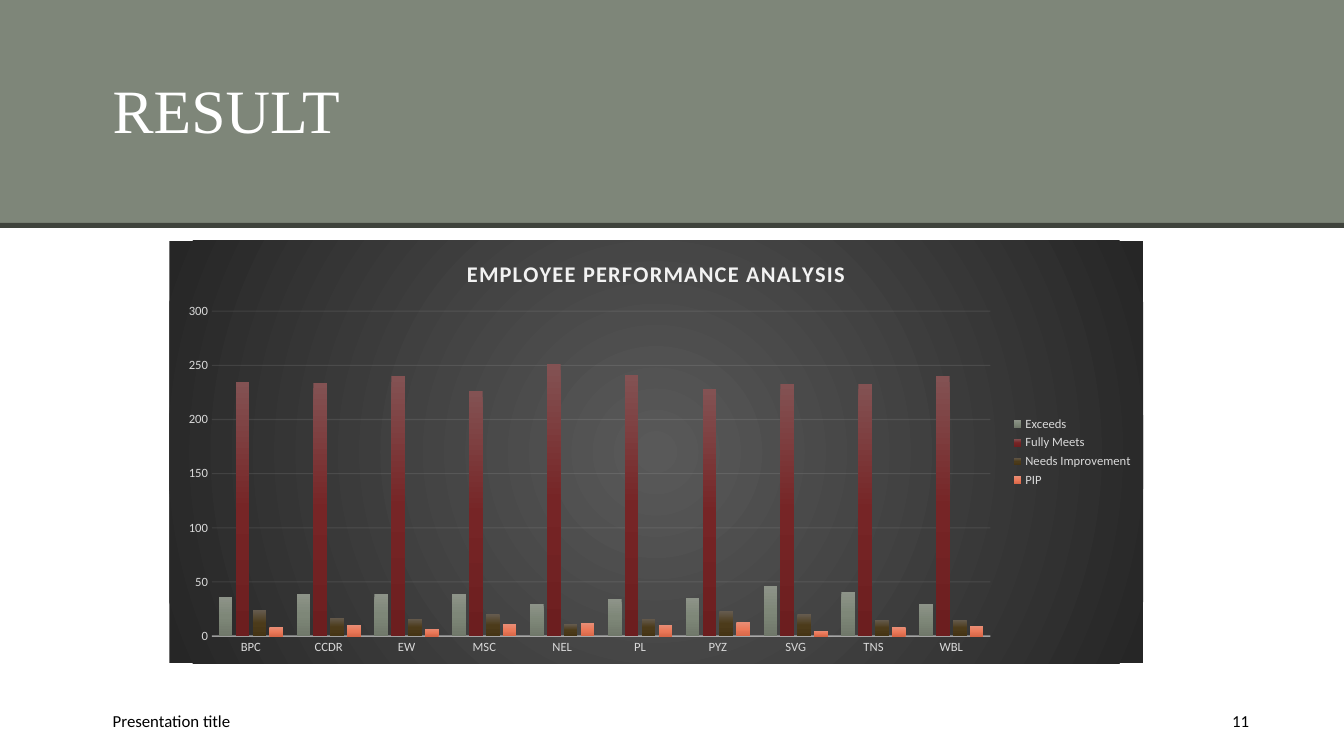
"""Build the employee performance result slide."""
from dataclasses import dataclass

from lxml import etree
from pptx import Presentation
from pptx.chart.data import CategoryChartData
from pptx.dml.color import RGBColor
from pptx.enum.chart import XL_CHART_TYPE, XL_LEGEND_POSITION, XL_TICK_MARK
from pptx.enum.shapes import MSO_SHAPE
from pptx.enum.text import MSO_ANCHOR, PP_ALIGN
from pptx.oxml import parse_xml
from pptx.oxml.ns import qn
from pptx.util import Inches, Pt

RECTANGLE = MSO_SHAPE.RECTANGLE
CLUSTERED = XL_CHART_TYPE.COLUMN_CLUSTERED
LEGEND_RIGHT = XL_LEGEND_POSITION.RIGHT
NO_TICK = XL_TICK_MARK.NONE
MIDDLE = MSO_ANCHOR.MIDDLE
LEFT, RIGHT = PP_ALIGN.LEFT, PP_ALIGN.RIGHT

WIDTH, HEIGHT = Inches(13.33), Inches(7.5)
BODY_FONT, TITLE_FONT = "Calibri", "Times New Roman"
COLORS = {
    "band": "7E8679", "rule": "3F433C", "white": "FFFFFF", "black": "000000",
    "chart_center": "595959", "chart_edge": "262626",
    "chart_text": "D9D9D9", "chart_light": "F2F2F2",
}
DRAWING_NS = "http://schemas.openxmlformats.org/drawingml/2006/main"
DOWNWARD = '<a:lin ang="5400000" scaled="0"/>'
FROM_CENTER = ('<a:path path="circle"><a:fillToRect l="50000" t="50000" '
               'r="50000" b="50000"/></a:path>')


@dataclass(frozen=True)
class Area:
    """Place on the slide, in percent of its width and height."""
    left: float
    top: float
    width: float
    height: float

    def box(self) -> tuple[int, int, int, int]:
        """Return the place in slide units."""
        return (int(WIDTH * self.left / 100), int(HEIGHT * self.top / 100),
                int(WIDTH * self.width / 100), int(HEIGHT * self.height / 100))


@dataclass(frozen=True)
class Band:
    """Full-width strip of the header."""
    area: Area
    color: str


@dataclass(frozen=True)
class Label:
    """Single line of text."""
    text: str
    area: Area
    size: float
    font: str
    color: str
    align: PP_ALIGN = LEFT
    spacing: float = 1.0


@dataclass(frozen=True)
class Rating:
    """Head count per business unit for one rating."""
    name: str
    counts: tuple[int, ...]
    shades: tuple[str, str, str]


BANDS = (
    Band(Area(0, 0, 100, 29.87), "band"),
    Band(Area(0, 29.47, 100, 0.67), "rule"),
)
LABELS = (
    Label("RESULT", Area(7.65, 3.33, 78.15, 23.33), 44, TITLE_FONT, "white", spacing=0.9),
    Label("Presentation title", Area(7.65, 92.67, 33.75, 5.33), 12, BODY_FONT, "black"),
    Label("11", Area(87.23, 92.67, 6.45, 5.33), 12, BODY_FONT, "black", RIGHT),
)
CHART_AREA = Area(12.6, 31.87, 72.45, 55.87)
UNITS = ("BPC", "CCDR", "EW", "MSC", "NEL", "PL", "PYZ", "SVG", "TNS", "WBL")
RATINGS = (
    Rating("Exceeds", (36, 39, 39, 39, 30, 34, 35, 46, 41, 30),
           ("8D9388", "7E8778", "70786A")),
    Rating("Fully Meets", (235, 234, 240, 226, 251, 241, 228, 233, 233, 240),
           ("835253", "762526", "6C1E1F")),
    Rating("Needs Improvement", (24, 17, 16, 20, 11, 16, 23, 20, 15, 15),
           ("655B4E", "4C3B1A", "463515")),
    Rating("PIP", (8, 10, 7, 11, 12, 10, 13, 5, 8, 9),
           ("E88D75", "EB7959", "D86748")),
)


def style_font(font, size: float, color: str, name: str = BODY_FONT) -> None:
    """Set size, colour and typeface."""
    font.size = Pt(size)
    font.name = name
    font.color.rgb = RGBColor.from_string(COLORS[color])


def gradient(shades: tuple[str, ...], direction: str):
    """Return a gradient fill with evenly spaced stops."""
    step = 100000 // (len(shades) - 1)
    stops = "".join(f'<a:gs pos="{i * step}"><a:srgbClr val="{shade}"/></a:gs>'
                    for i, shade in enumerate(shades))
    return parse_xml(f'<a:gradFill xmlns:a="{DRAWING_NS}" rotWithShape="1">'
                     f'<a:gsLst>{stops}</a:gsLst>{direction}</a:gradFill>')


def style_line(line, width: float, opacity: int) -> None:
    """Draw a light line with the given opacity in percent."""
    line.width = Pt(width)
    line.color.rgb = RGBColor.from_string(COLORS["chart_light"])
    tint = line.fill._xPr.find(".//" + qn("a:srgbClr"))
    etree.SubElement(tint, qn("a:alpha")).set("val", str(opacity * 1000))


def draw_band(slide, band: Band) -> None:
    """Draw one header strip."""
    strip = slide.shapes.add_shape(RECTANGLE, *band.area.box())
    strip.shadow.inherit = False
    strip.fill.solid()
    strip.fill.fore_color.rgb = RGBColor.from_string(COLORS[band.color])
    strip.line.fill.background()


def draw_label(slide, label: Label) -> None:
    """Draw one line of text."""
    frame = slide.shapes.add_textbox(*label.area.box()).text_frame
    frame.word_wrap = True
    frame.vertical_anchor = MIDDLE
    frame.text = label.text
    line = frame.paragraphs[0]
    line.alignment = label.align
    line.line_spacing = label.spacing
    style_font(line.runs[0].font, label.size, label.color, label.font)


def draw_ratings(slide) -> None:
    """Draw the chart of ratings per unit."""
    table = CategoryChartData(number_format="General")
    table.categories = UNITS
    for rating in RATINGS:
        table.add_series(rating.name, rating.counts)
    chart = slide.shapes.add_chart(CLUSTERED, *CHART_AREA.box(), table).chart
    style_font(chart.font, 10, "black")

    backdrop = etree.Element(qn("c:spPr"))
    backdrop.append(gradient((COLORS["chart_center"], COLORS["chart_edge"]), FROM_CENTER))
    outline = etree.SubElement(backdrop, qn("a:ln"))
    etree.SubElement(outline, qn("a:noFill"))
    chart._chartSpace.find(qn("c:chart")).addnext(backdrop)

    chart.has_title = True
    heading = chart.chart_title.text_frame
    heading.text = "EMPLOYEE PERFORMANCE ANALYSIS"
    heading_font = heading.paragraphs[0].runs[0].font
    style_font(heading_font, 16, "chart_light")
    heading_font.bold = True
    heading_font._element.set("spc", "100")
    chart.chart_title.include_in_layout = False

    chart.has_legend = True
    chart.legend.position = LEGEND_RIGHT
    chart.legend.include_in_layout = False
    style_font(chart.legend.font, 9, "chart_text")

    units, counts = chart.category_axis, chart.value_axis
    for axis in (units, counts):
        axis.major_tick_mark = axis.minor_tick_mark = NO_TICK
        style_font(axis.tick_labels.font, 9, "chart_text")
    style_line(units.format.line, 1, 54)
    counts.format.line.fill.background()
    style_line(counts.major_gridlines.format.line, 0.75, 10)

    plot = chart.plots[0]
    plot.vary_by_categories = False
    plot.gap_width, plot.overlap = 100, -24
    for bars, rating in zip(plot.series, RATINGS):
        bars.invert_if_negative = False
        bars._element.get_or_add_spPr().append(gradient(rating.shades, DOWNWARD))


def main() -> None:
    """Build and save the slide."""
    deck = Presentation()
    deck.slide_width, deck.slide_height = WIDTH, HEIGHT
    slide = deck.slides.add_slide(deck.slide_layouts[6])
    for band in BANDS:
        draw_band(slide, band)
    for label in LABELS:
        draw_label(slide, label)
    draw_ratings(slide)
    deck.save("out.pptx")


if __name__ == "__main__":
    main()
